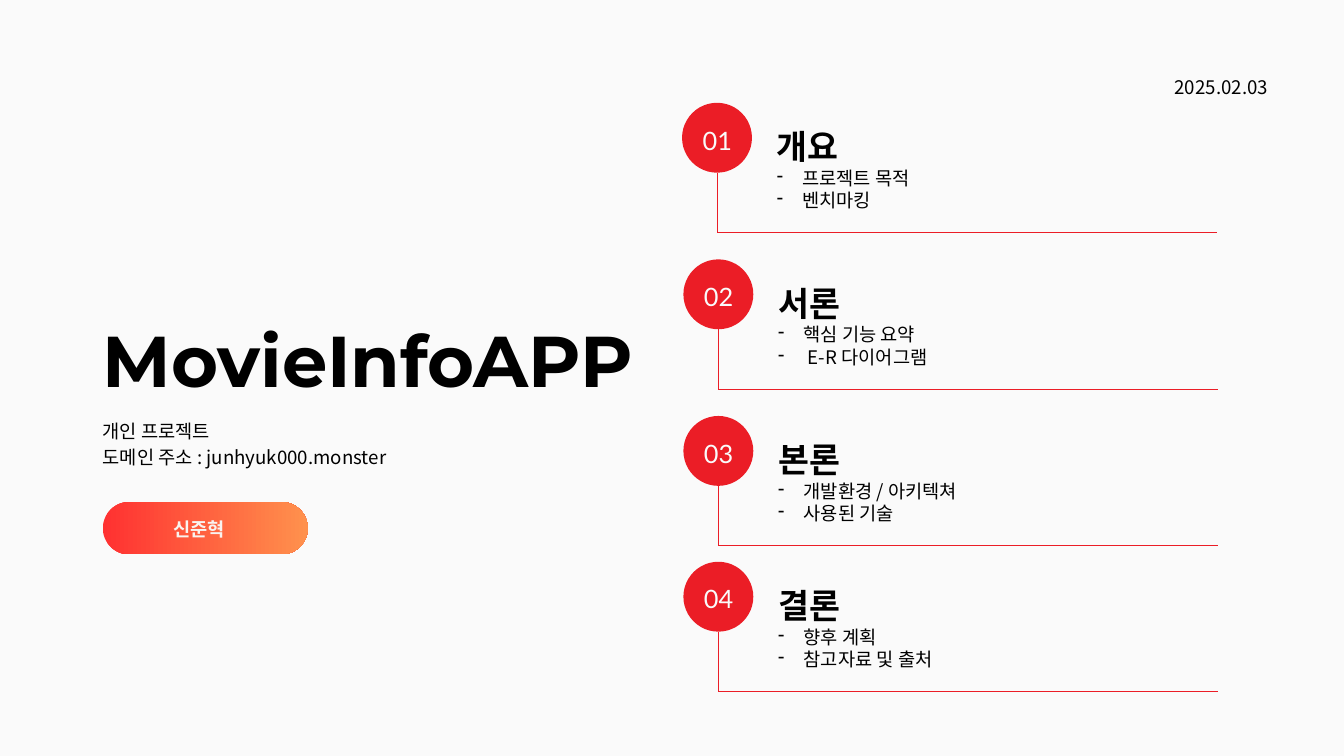
import pptx
import pptx.dml.color
import pptx.enum.shapes
import pptx.enum.text
import pptx.oxml.ns
import pptx.util
from dataclasses import dataclass
from lxml import etree

Inches = pptx.util.Inches
Pt = pptx.util.Pt
RGB = pptx.dml.color.RGBColor.from_string
SHAPE = pptx.enum.shapes.MSO_SHAPE
ALIGN = pptx.enum.text.PP_ALIGN
qn = pptx.oxml.ns.qn


@dataclass(frozen=True)
class Theme:
    paper: str = "FAFAFA"
    ink: str = "000000"
    red: str = "EB1D26"
    pill_text: str = "F9F3EF"
    pill_stops: tuple = ("FF3131", "FF914D")
    display: str = "Montserrat"
    heading: str = "Noto Sans CJK KR"
    body: str = "Noto Sans CJK SC"
    number: str = "Lato"
    title_size: float = 77
    heading_size: float = 36
    number_size: float = 27.1
    body_size: float = 20
    line_width: float = 0.75


class Deck:
    def __init__(self, theme):
        self.theme = theme
        self.prs = pptx.Presentation()
        self.prs.slide_width = Inches(20)
        self.prs.slide_height = Inches(11.25)

    def add_slide(self):
        self.s = self.prs.slides.add_slide(self.prs.slide_layouts[6])
        fill = self.s.background.fill
        fill.solid()
        fill.fore_color.rgb = RGB(self.theme.paper)

    def textbox(self, left, top, width, height):
        tf = self.s.shapes.add_textbox(*map(Inches, (left, top, width, height))).text_frame
        frame = dict(word_wrap=True, margin_left=0, margin_top=0, margin_right=0, margin_bottom=0)
        for name, value in frame.items():
            setattr(tf, name, value)
        return tf

    def paragraph(self, tf, text, font, size, color=None, bold=False,
                  spacing=None, align=ALIGN.LEFT, bullet=None):
        p = tf.paragraphs[0] if not tf.text else tf.add_paragraph()
        if bullet:
            pPr = p._p.get_or_add_pPr()
            pPr.set("marL", str(Inches(0.38)))
            pPr.set("indent", str(-Inches(0.38)))
            etree.SubElement(pPr, qn("a:buChar")).set("char", bullet)
        p.alignment = align
        if spacing:
            p.line_spacing = Pt(spacing)
        r = p.add_run()
        r.text = text
        for name, value in dict(name=font, size=Pt(size), bold=bold).items():
            setattr(r.font, name, value)
        r.font.color.rgb = RGB(color or self.theme.ink)
        etree.SubElement(r._r.get_or_add_rPr(), qn("a:ea")).set("typeface", font)

    def text(self, box, lines, *args, **style):
        tf = self.textbox(*box)
        for line in lines:
            self.paragraph(tf, line, *args, **style)

    def shape(self, kind, left, top, width, height):
        sp = self.s.shapes.add_shape(kind, *map(Inches, (left, top, width, height)))
        sp.shadow.inherit = False
        sp.line.fill.background()
        return sp

    def circle(self, left, top, size):
        sp = self.shape(SHAPE.OVAL, left, top, size, size)
        sp.fill.solid()
        sp.fill.fore_color.rgb = RGB(self.theme.red)

    def pill(self, left, top, width, height):
        sp = self.shape(SHAPE.ROUNDED_RECTANGLE, left, top, width, height)
        sp.adjustments[0] = 0.5
        sp.fill.gradient()
        sp.fill.gradient_angle = 0
        for stop, color in zip(sp.fill.gradient_stops, self.theme.pill_stops):
            stop.color.rgb = RGB(color)

    def line(self, x1, y1, x2, y2):
        c = self.s.shapes.add_connector(
            pptx.enum.shapes.MSO_CONNECTOR.STRAIGHT, *map(Inches, (x1, y1, x2, y2)))
        c.line.color.rgb = RGB(self.theme.red)
        c.line.width = Pt(self.theme.line_width)
        etree.SubElement(c._element.spPr, qn("a:effectLst"))

    def section(self, number, left, top, heading, points):
        t = self.theme
        size = 1.04
        spine, base = left + size / 2, top + 1.93
        self.circle(left, top, size)
        self.line(spine, base, spine + 7.44, base)
        self.line(spine, base, spine, top + size)
        self.text((spine - 0.38, top + 0.25, 0.77, 0.53), [f"{number:02}"], t.number,
                  t.number_size, t.paper, spacing=38, align=ALIGN.CENTER)
        tf = self.textbox(left + 1.41, top + 0.04, 3.59, 1.58)
        self.paragraph(tf, heading, t.heading, t.heading_size, bold=True, spacing=65.4)
        for point in points:
            self.paragraph(tf, point, t.heading, t.body_size, bullet="-")


SECTIONS = [
    (10.15, 1.53, "개요", ["프로젝트 목적", "벤치마킹"]),
    (10.17, 3.86, "서론", ["핵심 기능 요약", " E-R 다이어그램"]),
    (10.17, 6.19, "본론", ["개발환경 / 아키텍쳐", "사용된 기술"]),
    (10.17, 8.36, "결론", ["향후 계획", "참고자료 및 출처"]),
]


def main():
    t = Theme()
    deck = Deck(t)
    deck.add_slide()
    for number, section in enumerate(SECTIONS, 1):
        deck.section(number, *section)
    deck.text((1.53, 4.48, 8.39, 1.42), ["MovieInfoAPP"], t.display, t.title_size,
              bold=True, spacing=107.7)
    deck.text((1.53, 6.19, 8.39, 0.76), ["개인 프로젝트", "도메인 주소 : junhyuk000.monster"],
              t.body, t.body_size, spacing=28)
    deck.pill(1.53, 7.47, 3.05, 0.78)
    deck.text((2.42, 7.65, 1.08, 0.37), ["신준혁"], t.body, t.body_size, t.pill_text,
              bold=True, spacing=28, align=ALIGN.CENTER)
    deck.text((17.33, 1.08, 1.54, 0.37), ["2025.02.03"], t.body, t.body_size,
              spacing=28, align=ALIGN.RIGHT)
    deck.prs.save("out.pptx")


if __name__ == "__main__":
    main()
